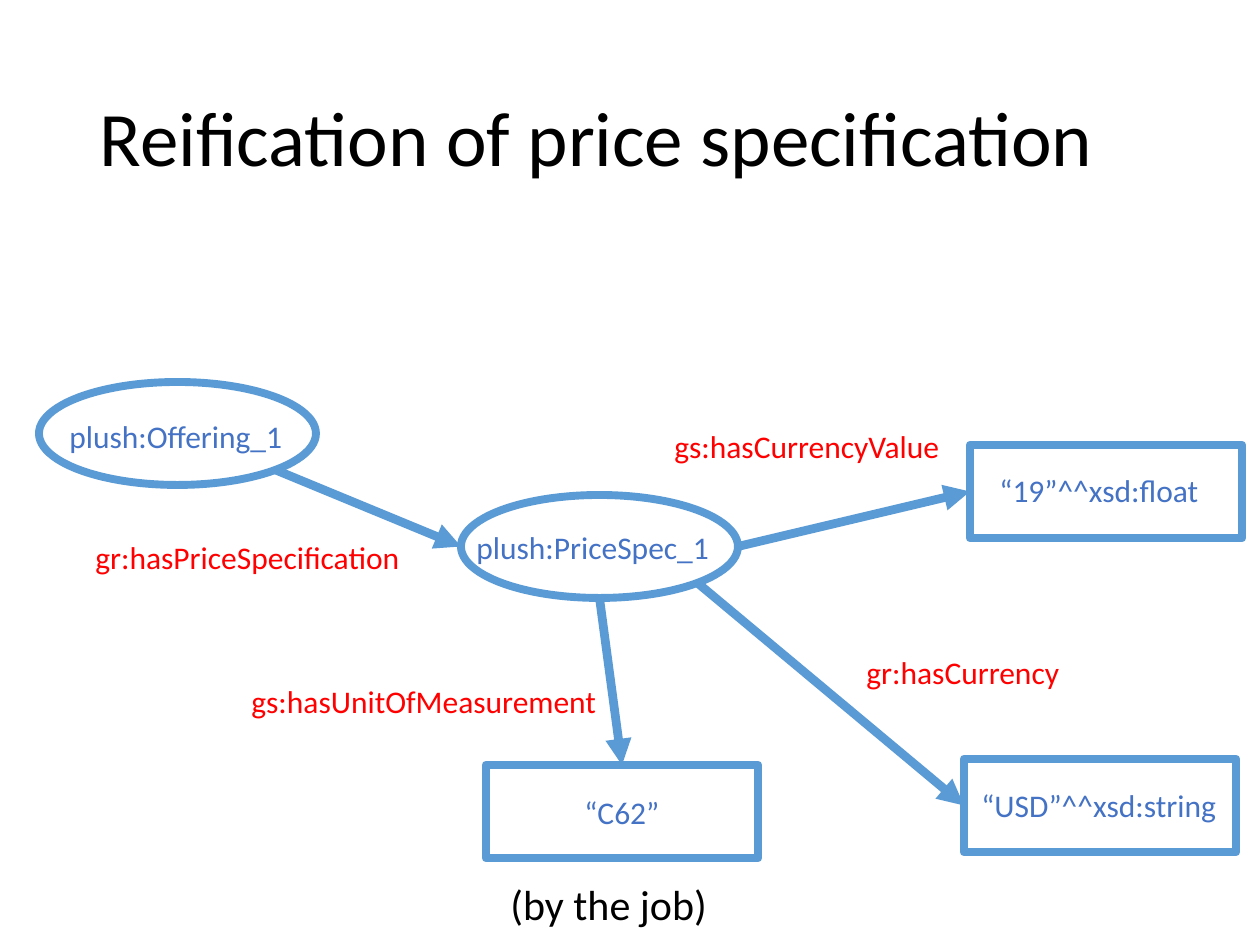
from math import sqrt

from lxml import etree
from pptx import Presentation
from pptx.dml.color import RGBColor
from pptx.enum.shapes import MSO_CONNECTOR, MSO_SHAPE
from pptx.enum.text import MSO_ANCHOR, MSO_AUTO_SIZE, PP_ALIGN
from pptx.oxml.ns import qn
from pptx.util import Emu, Pt

BLACK = RGBColor(0x00, 0x00, 0x00)
RED = RGBColor(0xFF, 0x00, 0x00)
LINE_BLUE = RGBColor(0x5B, 0x9B, 0xD5)
TEXT_BLUE = RGBColor(0x44, 0x72, 0xC4)
FONT = "Calibri"

ELLIPSE_SIZE = (277, 103)
RECT_SIZE = (272, 93)

# Points on a node, as fractions of its half width and half height
LEFT, RIGHT, BOTTOM = (-1, 0), (1, 0), (0, 1)
LOWER_RIGHT = (sqrt(0.5), sqrt(0.5))


def px(n):
    return Emu(round(n * 914400 / 126))


def set_font(p, size, color):
    p.font.name = FONT
    p.font.size = Pt(size)
    p.font.color.rgb = color


def add_title(s, text):
    title = s.shapes.title
    title.left, title.top, title.width, title.height = map(px, (87, 50, 1086, 183))
    tf = title.text_frame
    tf.text = text
    tf.vertical_anchor = MSO_ANCHOR.MIDDLE
    p = tf.paragraphs[0]
    p.alignment = PP_ALIGN.LEFT
    p.line_spacing = 0.9
    set_font(p, 44, BLACK)


def add_node(s, kind, x, y, size, line_width):
    sp = s.shapes.add_shape(kind, px(x), px(y), *map(px, size))
    sp.shadow.inherit = False
    sp.fill.background()
    sp.line.color.rgb = LINE_BLUE
    sp.line.width = Pt(line_width)
    return sp


def add_ellipse(s, x, y):
    return add_node(s, MSO_SHAPE.OVAL, x, y, ELLIPSE_SIZE, 4.5)


def add_rect(s, x, y):
    return add_node(s, MSO_SHAPE.RECTANGLE, x, y, RECT_SIZE, 5)


def point_on(node, side):
    return (Emu(round(node.left + node.width * (1 + side[0]) / 2)),
            Emu(round(node.top + node.height * (1 + side[1]) / 2)))


def add_arrow(s, start, end):
    line = s.shapes.add_connector(MSO_CONNECTOR.STRAIGHT, *start, *end)
    line.line.color.rgb = LINE_BLUE
    line.line.width = Pt(5)
    ln = line.line._get_or_add_ln()
    etree.SubElement(ln, qn("a:tailEnd"), type="triangle")
    etree.SubElement(line._element.spPr, qn("a:effectLst"))


def add_label(s, text, x, y, width, color, size=18, height=50, wrap=False):
    tf = s.shapes.add_textbox(px(x), px(y), px(width), px(height)).text_frame
    tf.word_wrap = wrap
    tf.auto_size = MSO_AUTO_SIZE.SHAPE_TO_FIT_TEXT
    tf.text = text
    set_font(tf.paragraphs[0], size, color)


def main():
    prs = Presentation()
    prs.slide_width, prs.slide_height = px(1260), px(945)
    s = prs.slides.add_slide(prs.slide_layouts[5])
    add_title(s, "Reification of price specification")

    # Resources and literal values
    offering = add_ellipse(s, 39, 382)
    price_spec = add_ellipse(s, 461, 495)
    amount = add_rect(s, 970, 445)
    unit = add_rect(s, 486, 765)
    currency = add_rect(s, 964, 759)

    # Properties
    for source, source_side, target, target_side in (
        (offering, LOWER_RIGHT, price_spec, LEFT),
        (price_spec, RIGHT, amount, LEFT),
        (price_spec, LOWER_RIGHT, currency, LEFT),
        (price_spec, BOTTOM, unit, (0, -1)),
    ):
        add_arrow(s, point_on(source, source_side), point_on(target, target_side))

    # Node names
    for text, x, y, width in (
        ("plush:Offering_1", 57, 411, 242),
        ("plush:PriceSpec_1", 464, 522, 261),
        ("“19”^^xsd:float", 987, 465, 227),
        ("“C62”", 572, 787, 101),
        ("“USD”^^xsd:string", 969, 780, 262),
    ):
        add_label(s, text, x, y, width, TEXT_BLUE)

    # Property names
    for text, x, y, width in (
        ("gr:hasPriceSpecification", 83, 532, 333),
        ("gs:hasCurrencyValue", 662, 421, 294),
        ("gr:hasCurrency", 854, 647, 220),
        ("gs:hasUnitOfMeasurement", 239, 676, 374),
    ):
        add_label(s, text, x, y, width, RED)

    # Meaning of the unit code
    add_label(s, "(by the job)", 498, 872, 241, BLACK, size=24, height=63, wrap=True)

    prs.save("out.pptx")


if __name__ == "__main__":
    main()
